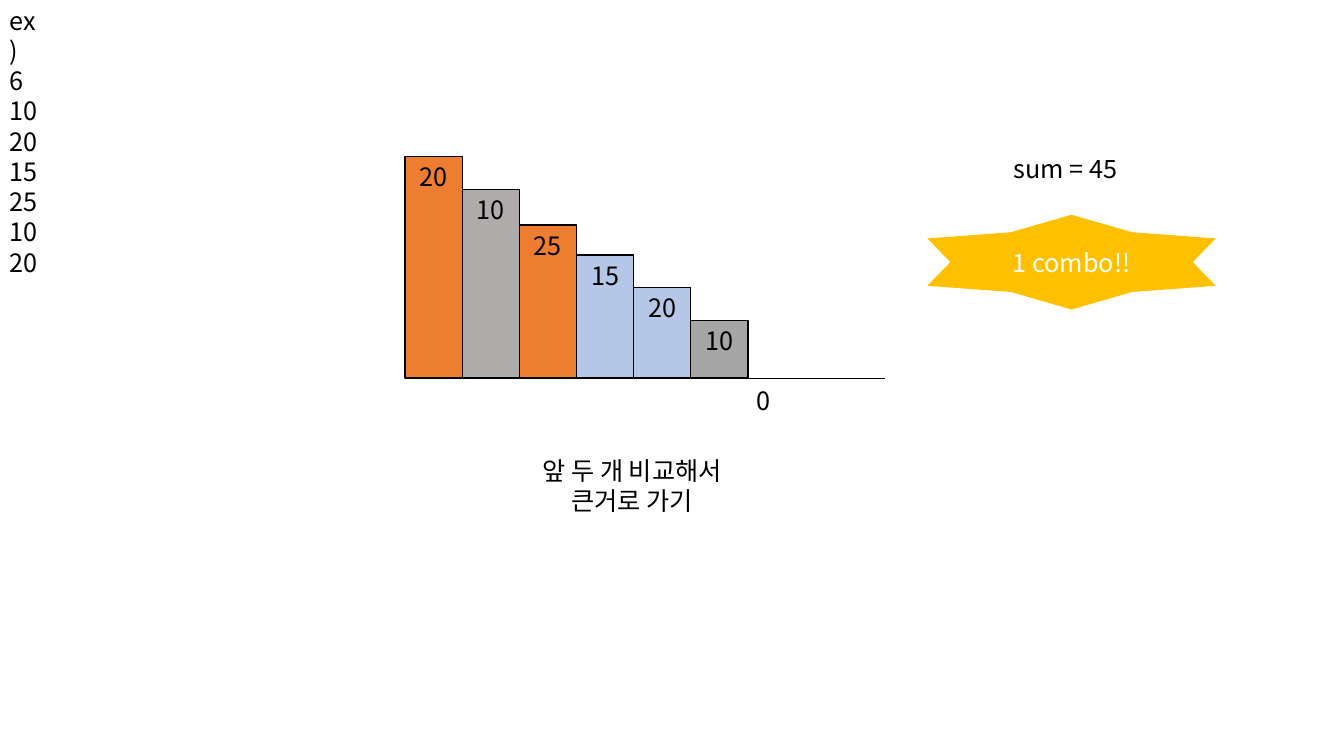
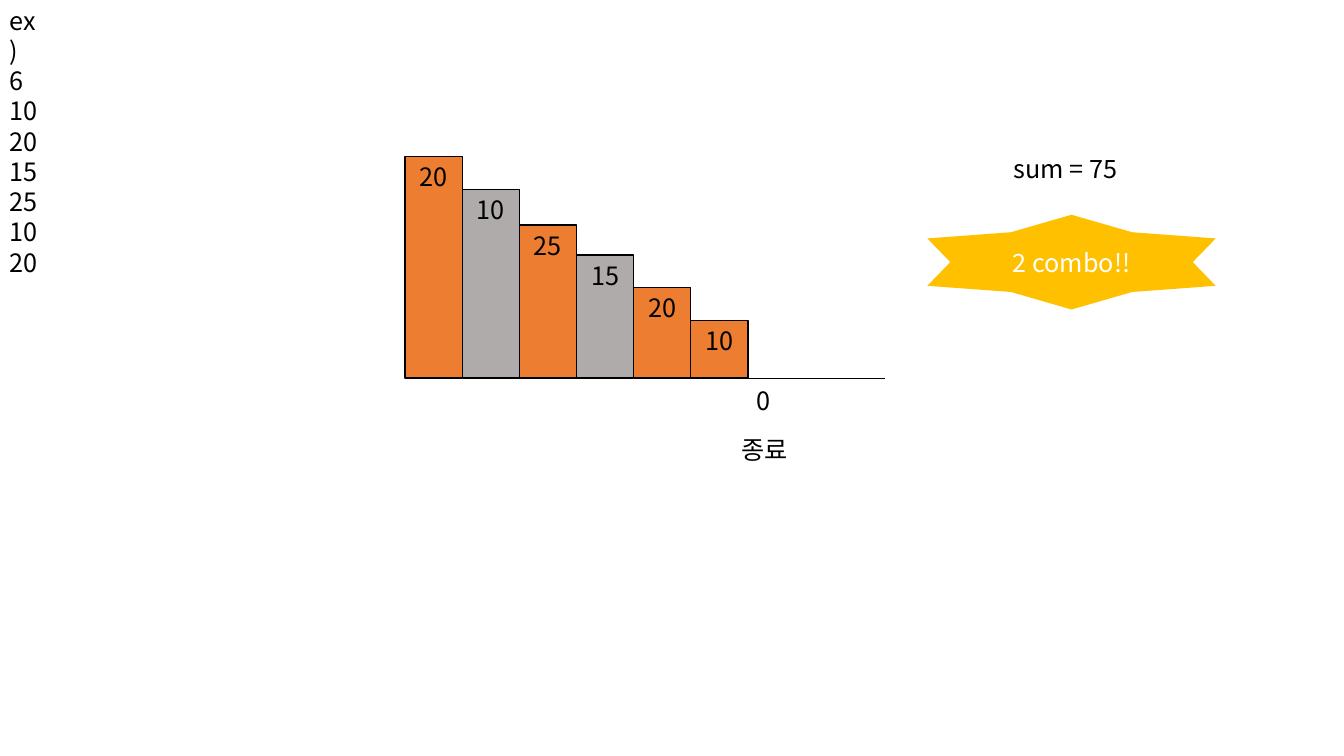
from lxml import etree
from pptx import Presentation
from pptx.dml.color import RGBColor
from pptx.enum import shapes, text
from pptx.oxml.ns import qn
from pptx.util import Pt

FONT, SIZE = "Noto Sans CJK KR", 18
INK, WHITE, GOLD = "000000", "FFFFFF", "FFC000"
PICK, SKIP, LAST, OPEN = "ED7D31", "AFABAB", "A5A5A5", "B4C7E7"
INPUT = ["ex)", "6", "10", "20", "15", "25", "10", "20"]
BARS = [("20", 158.4), ("10", 134.6), ("25", 109.4),
        ("15", 87.8), ("20", 64.8), ("10", 41)]
LEFT, BASE, WIDE, END = 289.4, 270, 40.8, 632.2
STEPS = [
    dict(fills=[PICK, SKIP, PICK, OPEN, OPEN, LAST],
         note=["앞 두 개 비교해서", "큰거로 가기"], box=(370.8, 321.8, 161.3, 51),
         sum="sum = 45", combo="1 combo!!"),
    dict(fills=[PICK, SKIP, PICK, SKIP, PICK, PICK],
         note=["종료"], box=(520.6, 306.7, 51, 29),
         sum="sum = 75", combo="2 combo!!"),
]


def rgb(code):
    return RGBColor.from_string(code)


def write(shape, lines, align, color=INK):
    frame = shape.text_frame
    frame.text = "\n".join(lines)
    for para in frame.paragraphs:
        para.alignment = align
        font = para.font
        font.name, font.size = FONT, Pt(SIZE)
        font.color.rgb = rgb(color)
        base = para._p.pPr.find(qn("a:defRPr"))
        etree.SubElement(base, qn("a:ea"), typeface=FONT)
    return frame


def label(slide, lines, box, align=text.PP_ALIGN.LEFT, wrap=False):
    shape = slide.shapes.add_textbox(*map(Pt, box))
    frame = write(shape, lines, align)
    frame.word_wrap = wrap
    frame.auto_size = text.MSO_AUTO_SIZE.SHAPE_TO_FIT_TEXT


def block(slide, kind, box, fill, word, color, anchor):
    shape = slide.shapes.add_shape(kind, *map(Pt, box))
    shape.shadow.inherit = False
    shape.fill.solid()
    shape.fill.fore_color.rgb = rgb(fill)
    frame = write(shape, [word], text.PP_ALIGN.CENTER, color)
    frame.vertical_anchor = anchor
    return shape


def chart(slide, fills):
    for i, ((word, high), fill) in enumerate(zip(BARS, fills)):
        box = (LEFT + i * WIDE, BASE - high, WIDE, high)
        bar = block(slide, shapes.MSO_SHAPE.RECTANGLE, box, fill, word, INK,
                    text.MSO_ANCHOR.TOP)
        bar.line.color.rgb = rgb(INK)
        bar.line.width = Pt(1)
    axis = slide.shapes.add_connector(
        shapes.MSO_CONNECTOR.STRAIGHT, Pt(END), Pt(BASE), Pt(LEFT), Pt(BASE))
    axis.line.color.rgb = rgb(INK)
    axis.line.width = Pt(0.5)
    etree.SubElement(axis._element.spPr, qn("a:effectLst"))
    label(slide, ["0"], (533.5, 271.4, 24.5, 29))


def build(deck, step):
    slide = deck.slides.add_slide(deck.slide_layouts[6])
    chart(slide, step["fills"])
    label(slide, step["note"], step["box"], text.PP_ALIGN.CENTER)
    star = block(slide, shapes.MSO_SHAPE.STAR_6_POINT, (662.4, 153.4, 206, 67.7),
                 GOLD, step["combo"], WHITE, text.MSO_ANCHOR.MIDDLE)
    star.adjustments[0] = 0.364
    star.line.fill.background()
    label(slide, [step["sum"]], (717.1, 105.8, 94.3, 29))
    label(slide, INPUT, (0, 0, 38.2, 181.4), wrap=True)


def main():
    deck = Presentation()
    deck.slide_width, deck.slide_height = Pt(960), Pt(540)
    for step in STEPS:
        build(deck, step)
    deck.save("out.pptx")


if __name__ == "__main__":
    main()
